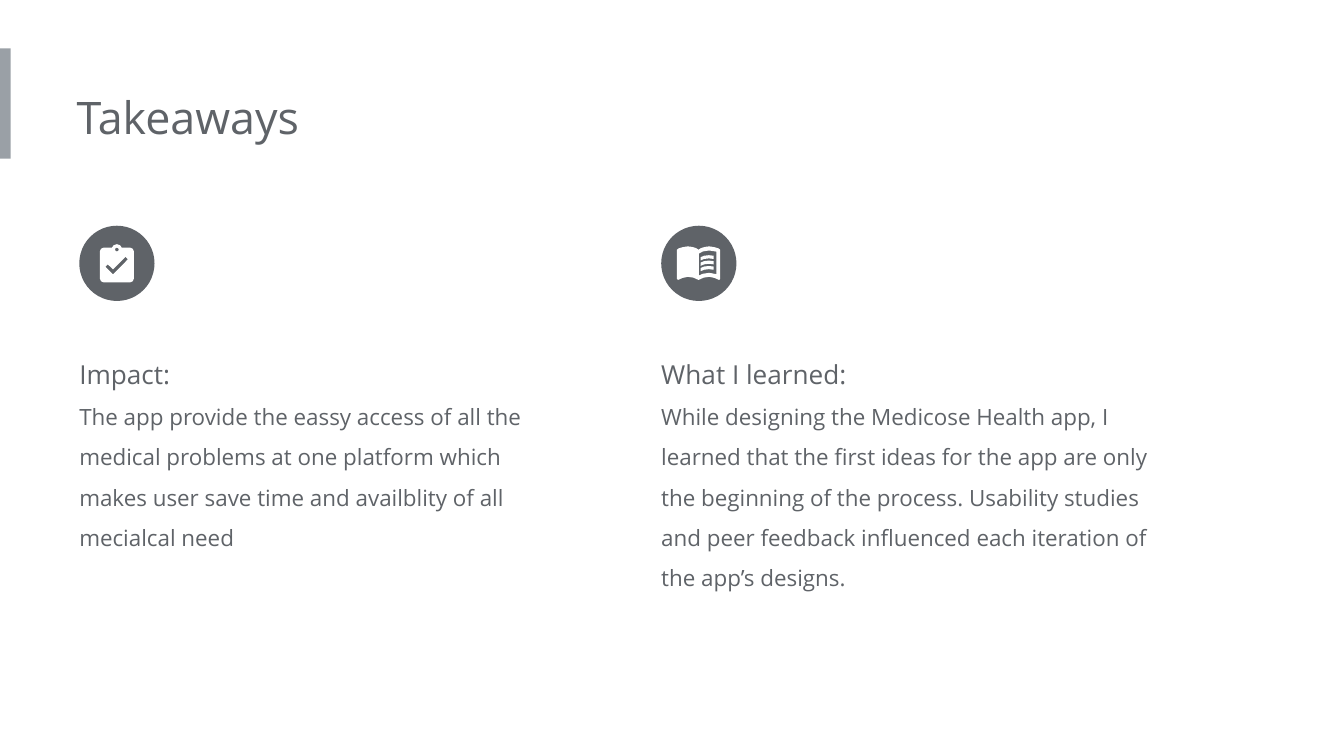
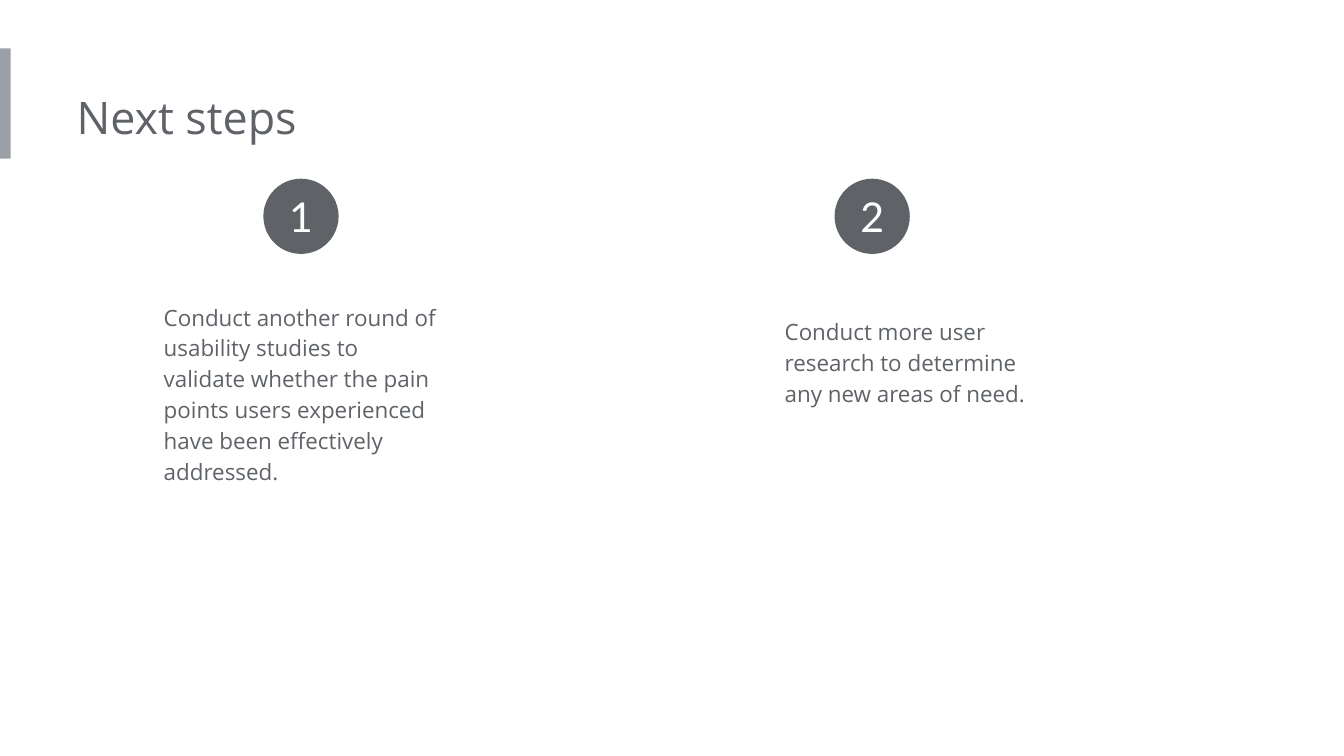
from pptx import Presentation
from pptx.dml.color import RGBColor
from pptx.enum.shapes import MSO_SHAPE
from pptx.enum.text import MSO_ANCHOR, PP_ALIGN
from pptx.util import Emu, Inches, Pt

PX = Inches(1) / 1000
GRAY = RGBColor(0x5F, 0x63, 0x68)
LIGHT_GRAY = RGBColor(0x9A, 0xA0, 0xA6)
WHITE = RGBColor(0xFF, 0xFF, 0xFF)
BODY_FONT = "Open Sans"
NUMBER_FONT = "Lato"
CIRCLE = 560
INSET = 100
BOOK_CENTER = 5198


def paint(shape, color):
    shape.shadow.inherit = False
    shape.fill.solid()
    shape.fill.fore_color.rgb = color
    shape.line.fill.background()


def write(shape, text, size=12, font=BODY_FONT, color=GRAY, align=PP_ALIGN.LEFT,
          spacing=1.0, left=0, inset=INSET, anchor=MSO_ANCHOR.TOP):
    frame = shape.text_frame
    frame.word_wrap = True
    frame.vertical_anchor = anchor
    frame.margin_left = Emu(round(left * PX))
    frame.margin_top = frame.margin_right = frame.margin_bottom = Emu(round(inset * PX))
    para = frame.paragraphs[0]
    if para.runs:
        para = frame.add_paragraph()
    para.alignment = align
    para.line_spacing = spacing
    span = para.add_run()
    span.text = text
    span.font.size = Pt(size)
    span.font.name = font
    span.font.color.rgb = color


deck = Presentation()
deck.slide_width = Emu(round(10000 * PX))
deck.slide_height = Emu(round(5625 * PX))

pages = []
for title in ["Takeaways", "Next steps"]:
    page = deck.slides.add_slide(deck.slide_layouts[6])
    bar = page.shapes.add_shape(MSO_SHAPE.RECTANGLE, *[Emu(round(v * PX)) for v in (0, 360, 80, 820)])
    paint(bar, LIGHT_GRAY)
    box = page.shapes.add_textbox(*[Emu(round(v * PX)) for v in (570, 570, 5390, 610)])
    write(box, title, size=24)
    pages.append(page)
takeaways, next_steps = pages

columns = [
    (590, 2120, "Impact:",
     "The app provide the eassy access of all the medical problems at one platform "
     "which makes user save time and availblity of all mecialcal need"),
    (4920, 2070, "What I learned:",
     "While designing the Medicose Health app, I learned that the first ideas for the app "
     "are only the beginning of the process. Usability studies and peer feedback influenced "
     "each iteration of the app’s designs."),
]
for x, height, heading, body in columns:
    box = takeaways.shapes.add_textbox(*[Emu(round(v * PX)) for v in (x, 2450, 3770, height)])
    write(box, heading, size=14, spacing=1.5)
    write(box, body, spacing=1.5)
    circle = takeaways.shapes.add_shape(
        MSO_SHAPE.OVAL, *[Emu(round(v * PX)) for v in (x, 1680, CIRCLE, CIRCLE)])
    paint(circle, GRAY)

clipboard = [
    (970, 1843), (907, 1843), (894, 1825), (870, 1817), (846, 1825), (833, 1843),
    (770, 1843), (752, 1851), (744, 1869), (744, 2075), (752, 2093), (770, 2101),
    (970, 2101), (988, 2093), (996, 2075), (996, 1869), (988, 1851),
]
clip_hole = [(870, 1843), (880, 1847), (884, 1857), (880, 1867),
             (870, 1871), (860, 1867), (856, 1857), (860, 1847)]
check = [(842, 2042), (784, 1985), (802, 1967), (842, 2005), (934, 1911), (952, 1930)]

left_page = [(5180, 1846), (5150, 1837), (5118, 1833), (5080, 1839), (5050, 1848),
             (5037, 1858), (5037, 2075), (5045, 2083), (5080, 2068), (5118, 2060),
             (5160, 2066), (5198, 2083)]
right_page = [(2 * BOOK_CENTER - x, y) for x, y in reversed(left_page[:-1])]
book = [(BOOK_CENTER, 1858)] + left_page + right_page
page_hole = [(5200, 1887), (5230, 1871), (5277, 1864), (5330, 1872),
             (5330, 2040), (5277, 2030), (5230, 2037), (5200, 2050)]
text_line = [(5213, 1914), (5240, 1903), (5275, 1899), (5310, 1903),
             (5310, 1927), (5275, 1923), (5240, 1927), (5213, 1938)]
text_lines = [[[(x, y + 40 * row) for x, y in text_line]] for row in range(3)]

for contours in [[clipboard, clip_hole, check], [book, page_hole]] + text_lines:
    builder = takeaways.shapes.build_freeform(*contours[0][0], scale=PX)
    builder.add_line_segments(contours[0][1:])
    for contour in contours[1:]:
        builder.move_to(*contour[0])
        builder.add_line_segments(contour[1:])
    paint(builder.convert_to_shape(), WHITE)

steps = [
    (1120, 2130, 1600, 1960,
     "Conduct another round of usability studies to validate whether the pain points "
     "users experienced have been effectively addressed."),
    (5740, 2240, 900, 6210,
     "Conduct more user research to determine any new areas of need."),
]
for number, (x, y, height, circle_x, body) in enumerate(steps, 1):
    box = next_steps.shapes.add_textbox(*[Emu(round(v * PX)) for v in (x, y, 2240, height)])
    write(box, body, spacing=1.15, left=INSET)
    circle = next_steps.shapes.add_shape(
        MSO_SHAPE.OVAL, *[Emu(round(v * PX)) for v in (circle_x, 1330, CIRCLE, CIRCLE)])
    paint(circle, GRAY)
    write(circle, str(number), size=22, font=NUMBER_FONT, color=WHITE,
          align=PP_ALIGN.CENTER, inset=0, anchor=MSO_ANCHOR.MIDDLE)

deck.save("out.pptx")
